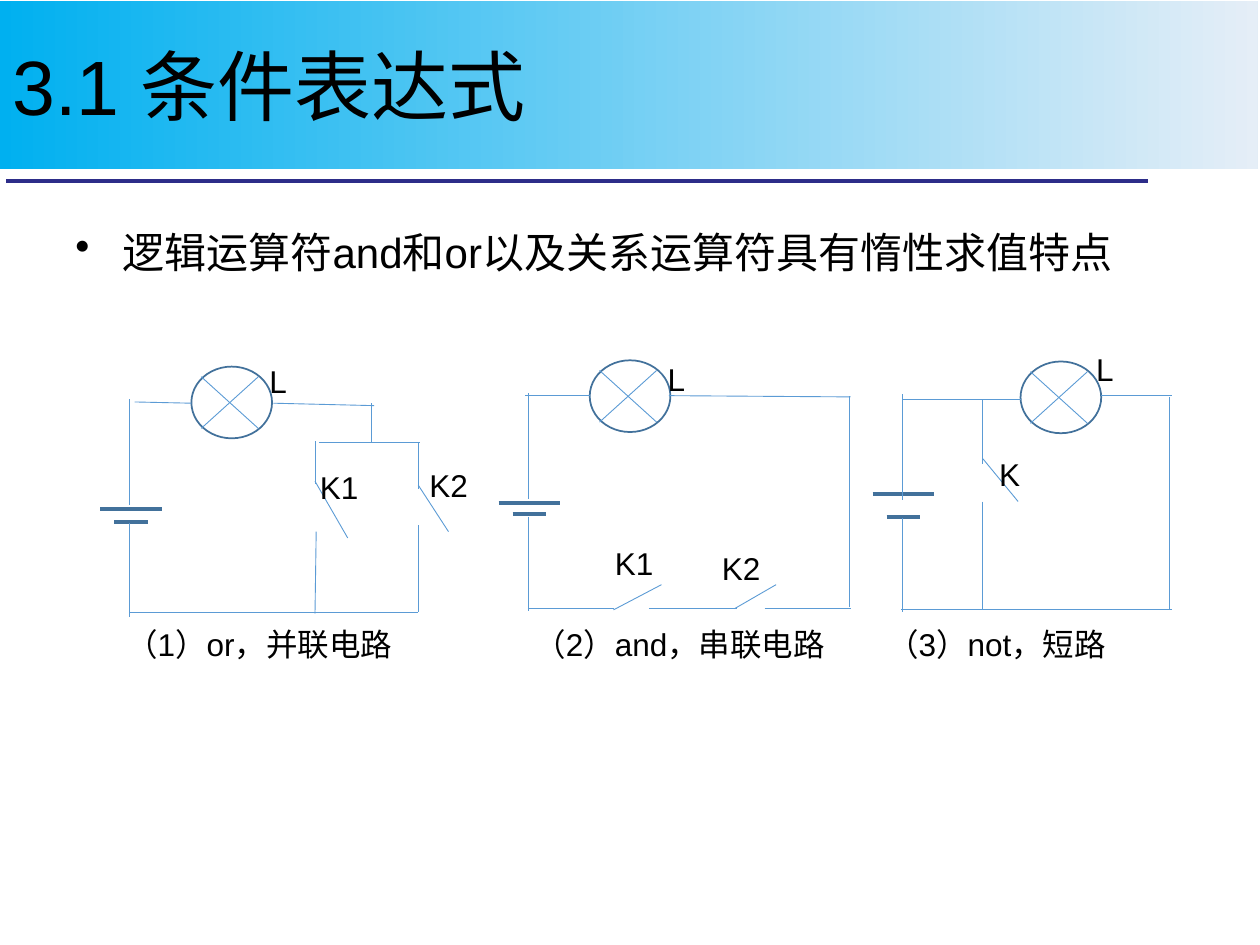
from dataclasses import dataclass

from lxml.etree import SubElement
from pptx import Presentation
from pptx.dml.color import RGBColor
from pptx.enum.shapes import MSO_CONNECTOR, MSO_SHAPE
from pptx.enum.text import MSO_ANCHOR, PP_ALIGN
from pptx.oxml.ns import qn
from pptx.util import Pt


@dataclass(frozen=True)
class Theme:
    font: str = "Arial"
    text: RGBColor = RGBColor(0x00, 0x00, 0x00)
    rule: RGBColor = RGBColor(0x2D, 0x2D, 0x89)
    wire: RGBColor = RGBColor(0x5B, 0x9B, 0xD5)
    outline: RGBColor = RGBColor(0x42, 0x71, 0x9B)
    banner_left: RGBColor = RGBColor(0x00, 0xB0, 0xF0)
    banner_right: RGBColor = RGBColor(0xE5, 0xEE, 0xF7)
    title_size: int = 44
    body_size: int = 24
    label_size: int = 18


theme = Theme()


def add_line(shapes, x1, y1, x2, y2, color=theme.wire, width=0.5):
    line = shapes.add_connector(MSO_CONNECTOR.STRAIGHT, Pt(x1), Pt(y1), Pt(x2), Pt(y2))
    line.line.color.rgb = color
    line.line.width = Pt(width)
    SubElement(line._element.spPr, qn("a:effectLst"))


def write_text(shape, text, size, inset_x=7.2, inset_y=3.6):
    """Fill a shape with one left-aligned paragraph and return the paragraph."""
    frame = shape.text_frame
    frame.word_wrap = True
    frame.margin_left = frame.margin_right = Pt(inset_x)
    frame.margin_top = frame.margin_bottom = Pt(inset_y)
    para = frame.paragraphs[0]
    para.text = text
    para.alignment = PP_ALIGN.LEFT
    para.font.name = theme.font
    para.font.size = Pt(size)
    para.font.color.rgb = theme.text
    return para


deck = Presentation()
deck.slide_width, deck.slide_height = Pt(720), Pt(540)
page = deck.slides.add_slide(deck.slide_layouts[6])

# Title banner and rule
add_line(page.shapes, 3.6, 103.7, 656, 103.7, theme.rule, 2.25)
banner = page.shapes.add_shape(MSO_SHAPE.RECTANGLE, Pt(0), Pt(0.7), Pt(718.6), Pt(95.8))
banner.shadow.inherit = False
banner.line.fill.background()
banner.fill.gradient()
banner.fill.gradient_angle = 0
for stop, color in zip(banner.fill.gradient_stops, (theme.banner_left, theme.banner_right)):
    stop.color.rgb = color
banner.text_frame.vertical_anchor = MSO_ANCHOR.MIDDLE
write_text(banner, "3.1 条件表达式", theme.title_size)

# Bullet
body = page.shapes.add_textbox(Pt(36), Pt(126), Pt(648), Pt(338.4))
bullet = write_text(body, "逻辑运算符and和or以及关系运算符具有惰性求值特点", theme.body_size)
bullet.space_before = Pt(6)
properties = bullet._p.get_or_add_pPr()
properties.set("marL", str(Pt(27)))
properties.set("indent", str(Pt(-27)))
SubElement(properties, qn("a:buChar"), char="•")

# Circuits: battery is (lead x, lead top, upper plate y, lower plate y)
circuits = [
    {
        "battery": (74.2, 228.3, 290.9, 298.1),
        "lamp": (109.4, 209.5),
        "wires": [
            (77, 229.7, 109.4, 230.4), (156.2, 230.4, 213.8, 231.8),
            (212.4, 230.4, 212.4, 252.7), (182.2, 252.7, 239.8, 252.7),
            (180, 252, 180, 276.5), (239, 252.7, 239, 279.4),
            (180, 275, 198.7, 307.4), (239, 277.2, 256.3, 303.8),
            (180.7, 303.8, 180, 350.6), (239, 300.2, 239, 349.9),
            (74.2, 349.9, 239, 349.9),
        ],
        "labels": [("L", 146.9, 206.6), ("K1", 175.7, 264.2), ("K2", 238.3, 262.8)],
        "caption": ("（1）or，并联电路", 72, 174.2),
    },
    {
        "battery": (301.7, 224.7, 287.3, 293.8),
        "lamp": (337, 205.9),
        "wires": [
            (300.2, 226.1, 337, 226.1), (382.3, 226.1, 486, 226.8),
            (301.7, 347.8, 350.6, 347.8), (350.6, 348.5, 378, 334.1),
            (370.8, 347.8, 421.2, 347.8), (419.8, 347.8, 443.5, 334.1),
            (437, 347.8, 486, 347.8), (485.3, 347, 485.3, 226.1),
        ],
        "labels": [("L", 374.4, 205.9), ("K1", 344.2, 307.4), ("K2", 405.4, 310.3)],
        "caption": ("（2）and，串联电路", 305.3, 174.2),
    },
    {
        "battery": (515.5, 225.4, 282.2, 295.2),
        "lamp": (583.2, 206.6),
        "wires": [
            (515.5, 228.2, 583.2, 228.2), (629.3, 226.1, 669.6, 226.1),
            (514.8, 348.5, 669.6, 348.5), (668.2, 347.8, 668.2, 226.8),
            (561.6, 228.2, 561.6, 265), (561.6, 286.6, 561.6, 348.5),
            (561.6, 262.1, 581.8, 286.6),
        ],
        "labels": [("L", 619.2, 200.2), ("K", 563.8, 256.3)],
        "caption": ("（3）not，短路", 506.9, 151.9),
    },
]

for circuit in circuits:
    parts = page.shapes.add_group_shape().shapes

    lead_x, lead_top, upper_y, lower_y = circuit["battery"]
    for half_width, plate_y in ((17.6, upper_y), (9.6, lower_y)):
        middle = lead_x + 0.8
        add_line(parts, middle - half_width, plate_y, middle + half_width, plate_y,
                 theme.outline, 2.25)
    for start, end in ((0, 60.5), (70.5, 124.5)):
        add_line(parts, lead_x, lead_top + start, lead_x, lead_top + end)

    lamp_x, lamp_y = circuit["lamp"]
    lamp = parts.add_shape(MSO_SHAPE.OVAL, Pt(lamp_x), Pt(lamp_y), Pt(46.1), Pt(41))
    lamp.shadow.inherit = False
    lamp.fill.background()
    lamp.line.color.rgb = theme.outline
    lamp.line.width = Pt(1)
    for start_x, end_x in ((5.6, 38.2), (38.2, 5.6)):
        add_line(parts, lamp_x + start_x, lamp_y + 5.8, lamp_x + end_x, lamp_y + 35.3)

    for wire in circuit["wires"]:
        add_line(parts, *wire)

    for name, left, top in circuit["labels"]:
        width, height, inset_y = (37.4, 20.9, 0) if name == "L" else (46.8, 31.7, 3.6)
        label = parts.add_textbox(Pt(left), Pt(top), Pt(width), Pt(height))
        write_text(label, name, theme.label_size, inset_y=inset_y)

    text, left, width = circuit["caption"]
    caption = parts.add_textbox(Pt(left), Pt(357.1), Pt(width), Pt(24.5))
    write_text(caption, text, theme.label_size, 0, 0)

deck.save("out.pptx")
